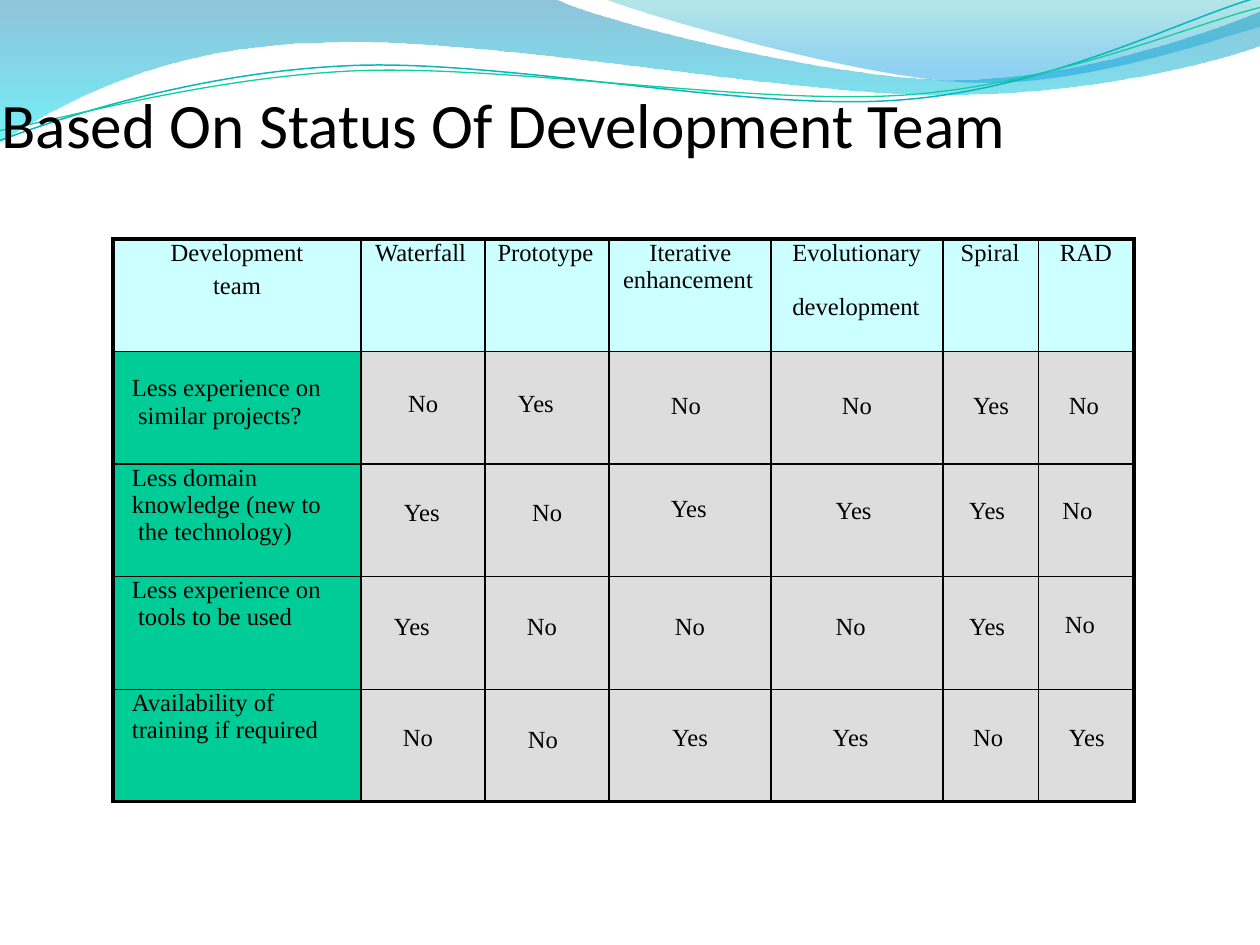
from dataclasses import dataclass
from math import cos, radians, sin

from pptx import Presentation
from pptx.dml.color import RGBColor
from pptx.enum.text import MSO_ANCHOR, MSO_AUTO_SIZE, PP_ALIGN
from pptx.oxml import parse_xml
from pptx.oxml.ns import nsdecls, qn
from pptx.util import Cm, Pt


@dataclass(frozen=True)
class Theme:
    """Colours, fonts, type sizes and line widths of the slide."""
    ink: str = "000000"
    header_fill: str = "CCFFFF"
    label_fill: str = "00CC98"
    answer_fill: str = "DDDDDD"
    title_font: str = "Calibri"
    table_font: str = "Times New Roman"
    title_size: int = 36
    table_size: int = 14
    line_height: float = 1.11
    outer_border: float = 2.25
    inner_border: float = 1


THEME = Theme()
CENTRED = None

TITLE = "Based On Status Of Development Team"

# Each cell: text, left indent in cm (or CENTRED), size in points of the line left free above.
# A line feed starts a paragraph, a vertical tab breaks a line.
TABLE = [
    [("Development\nteam", CENTRED, 0), ("Waterfall", 0.28, 0), ("Prototype", 0.25, 0),
     ("Iterative \venhancement", 0.28, 0), ("Evolutionary\ndevelopment", 0.43, 0),
     ("Spiral", 0.36, 0), ("RAD", 0.43, 0)],
    [("Less experience on\v similar projects?", 0.38, 12), ("No", CENTRED, 20), ("Yes", 0.66, 20),
     ("No", 1.24, 21), ("No", CENTRED, 21), ("Yes", 0.61, 21), ("No", 0.61, 21)],
    [("Less domain \vknowledge (new to\v the technology)", 0.38, 0), ("Yes", 0.86, 18),
     ("No", CENTRED, 18), ("Yes", 1.24, 16), ("Yes", 1.3, 17), ("Yes", 0.53, 17), ("No", 0.48, 17)],
    [("Less experience on\v tools to be used", 0.38, 0), ("Yes", 0.66, 19), ("No", 0.84, 19),
     ("No", CENTRED, 19), ("No", 1.3, 19), ("Yes", 0.53, 19), ("No", 0.53, 18)],
    [("Availability of \vtraining if required", 0.38, 0), ("No", 0.84, 18), ("No", 0.86, 19),
     ("Yes", CENTRED, 18), ("Yes", 1.24, 18), ("No", 0.61, 18), ("Yes", 0.61, 18)],
]
PARAGRAPH_GAPS = {"team": 3.8, "development": 15.5}
FIRST_LINE_INDENTS = {"Iterative \venhancement": 0.53}
COLUMN_WIDTHS = [4.98, 2.49, 2.49, 3.25, 3.45, 1.92, 1.92]
ROW_HEIGHT = 2.26
TABLE_LEFT, TABLE_TOP = 2.27, 4.8

# Outlines in cm: a start point, then lines (x, y) or curves (two controls and an end).
# Gradient stops: position in percent, colour, opacity in percent.
BANDS = [
    ([(0, 0), (11.13, -0.03), (12.04, 0.43, 16.79, 1.6, 19.18, 1.6),
      (21.59, 1.6, 24.23, 0.66, 25.3, 0.23), (25.32, 0.91),
      (24.87, 1.12, 22, 1.93, 18.87, 1.91), (15.72, 1.91, 9.65, 0.71, 6.5, 0.86),
      (3.28, 0.89, 1.17, 2.11, -0.03, 2.87), (0, 0)],
     [(0, "0079AD", 44), (100, "00E9F7", 55)]),
    ([(12.12, -0.03), (12.88, 0.28, 17.25, 1.57, 19.46, 1.65),
      (21.64, 1.75, 24.31, 0.81, 25.3, 0.53), (25.3, 0), (12.12, -0.03)],
     [(0, "00ABB4", 29), (80, "0099E4", 44), (100, "0099E4", 44)]),
]
# Outline as it stands on the slide, centre of the turned shape, colour, line width.
STRANDS = [
    ([(0, 2.82), (1.22, 2.36, 3.99, 1.45, 6.99, 1.32),
      (10.01, 1.17, 14.99, 2.24, 18.03, 2.01), (21.06, 1.8, 23.72, 0.38, 25.25, -0.05)],
     (12.62, 1.46), "09B6BE", 0.85),
    ([(0, 2.62), (1.19, 2.41, 4.14, 1.55, 7.16, 1.42),
      (10.19, 1.3, 15.11, 2.11, 18.14, 1.91), (21.16, 1.7, 23.8, 0.53, 25.3, 0.15)],
     (12.64, 1.5), "10CF9B", 0.75),
]
STRAND_TURN = -2.7


def turn_points(outline, centre, degrees):
    """Turn every point of an outline clockwise around a centre."""
    cosine, sine = cos(radians(degrees)), sin(radians(degrees))
    turned = []
    for segment in outline:
        values = []
        for x, y in zip(segment[::2], segment[1::2]):
            across, down = x - centre[0], y - centre[1]
            values += [centre[0] + across * cosine - down * sine,
                       centre[1] + across * sine + down * cosine]
        turned.append(tuple(values))
    return turned


def add_wave(slide, outline, close):
    """Draw a curved outline on the layout, behind the slide's content."""
    points = [(Cm(x), Cm(y)) for segment in outline
              for x, y in zip(segment[::2], segment[1::2])]
    builder = slide.shapes.build_freeform(*points[0])
    builder.add_line_segments(points[1:], close=close)
    shape = builder.convert_to_shape()
    shape.shadow.inherit = False
    lines = iter(shape.element.findall(".//" + qn("a:lnTo")))
    for segment in outline[1:]:
        line = next(lines)
        if len(segment) == 6:
            curve = parse_xml(f'<a:cubicBezTo {nsdecls("a")}/>')
            line.addprevious(curve)
            for control in (line, next(lines), next(lines)):
                curve.append(control[0])
                control.getparent().remove(control)
    slide.slide_layout.shapes.element.append(shape.element)
    return shape


def fill_gradient(shape, stops):
    """Give a shape a downward gradient with transparent stops."""
    stop_xml = "".join(
        f'<a:gs pos="{position * 1000}"><a:srgbClr val="{color}">'
        f'<a:alpha val="{opacity * 1000}"/></a:srgbClr></a:gs>'
        for position, color, opacity in stops)
    gradient = parse_xml(
        f'<a:gradFill {nsdecls("a")} rotWithShape="1"><a:gsLst>{stop_xml}</a:gsLst>'
        '<a:lin ang="5400000" scaled="0"/></a:gradFill>')
    shape.element.spPr.find(qn("a:custGeom")).addnext(gradient)


def add_waves(slide):
    """Draw the gradient bands and the thin strands at the top."""
    for outline, stops in BANDS:
        band = add_wave(slide, outline, close=True)
        fill_gradient(band, stops)
        band.line.fill.background()
    for outline, centre, color, width in STRANDS:
        strand = add_wave(slide, turn_points(outline, centre, -STRAND_TURN), close=False)
        strand.rotation = STRAND_TURN
        strand.fill.background()
        strand.line.color.rgb = RGBColor.from_string(color)
        strand.line.width = Pt(width)


def format_runs(paragraph, font, size):
    """Set font, size and ink colour on every run of a paragraph."""
    for run in paragraph.runs:
        run.font.name = font
        run.font.size = Pt(size)
        run.font.color.rgb = RGBColor.from_string(THEME.ink)


def set_title(slide, width):
    """Place and format the title placeholder."""
    title = slide.shapes.title
    title.left, title.top, title.width, title.height = Cm(0), Cm(1.69), width, Cm(1.55)
    frame = title.text_frame
    frame.text = TITLE
    frame.auto_size = MSO_AUTO_SIZE.NONE
    frame.vertical_anchor = MSO_ANCHOR.BOTTOM
    frame.margin_left = Cm(0.03)
    frame.margin_right = frame.margin_top = frame.margin_bottom = 0
    frame.paragraphs[0].alignment = PP_ALIGN.LEFT
    format_runs(frame.paragraphs[0], THEME.title_font, THEME.title_size)


def set_borders(cell, outer_sides):
    """Draw the four borders of a cell, thicker on the table's outer sides."""
    properties = cell._tc.get_or_add_tcPr()
    for side in "LRTB":
        width = THEME.outer_border if side in outer_sides else THEME.inner_border
        properties.append(parse_xml(
            f'<a:ln{side} {nsdecls("a")} w="{Pt(width)}"><a:solidFill>'
            f'<a:srgbClr val="{THEME.ink}"/></a:solidFill></a:ln{side}>'))


def fill_cell(cell, content, color):
    """Write and format one table cell."""
    text, indent, lead = content
    cell.text_frame.text = text
    cell.margin_left = Cm(indent or 0)
    cell.margin_right = cell.margin_bottom = 0
    cell.margin_top = Pt(lead * THEME.line_height)
    for paragraph in cell.text_frame.paragraphs:
        paragraph.alignment = PP_ALIGN.CENTER if indent is CENTRED else PP_ALIGN.LEFT
        paragraph.space_before = Pt(PARAGRAPH_GAPS.get(paragraph.text, 0))
        first_line = Cm(FIRST_LINE_INDENTS.get(text, 0))
        paragraph._p.get_or_add_pPr().set("indent", str(int(first_line)))
        format_runs(paragraph, THEME.table_font, THEME.table_size)
    cell.fill.solid()
    cell.fill.fore_color.rgb = RGBColor.from_string(color)


def add_model_table(slide):
    """Add the table that compares the process models."""
    last_row, last_column = len(TABLE) - 1, len(COLUMN_WIDTHS) - 1
    table = slide.shapes.add_table(
        len(TABLE), len(COLUMN_WIDTHS), Cm(TABLE_LEFT), Cm(TABLE_TOP),
        Cm(sum(COLUMN_WIDTHS)), Cm(ROW_HEIGHT * len(TABLE))).table
    table.first_row = table.horz_banding = False
    for column, width in zip(table.columns, COLUMN_WIDTHS):
        column.width = Cm(width)
    for r, contents in enumerate(TABLE):
        table.rows[r].height = Cm(ROW_HEIGHT)
        for c, content in enumerate(contents):
            edges = {"L": c == 0, "R": c == last_column, "T": r == 0, "B": r == last_row}
            body_fill = THEME.label_fill if c == 0 else THEME.answer_fill
            cell = table.cell(r, c)
            set_borders(cell, [side for side, outer in edges.items() if outer])
            fill_cell(cell, content, THEME.header_fill if r == 0 else body_fill)


presentation = Presentation()
presentation.slide_width, presentation.slide_height = Cm(25.3), Cm(18.97)
slide = presentation.slides.add_slide(presentation.slide_layouts.get_by_name("Title Only"))
add_waves(slide)
set_title(slide, presentation.slide_width)
add_model_table(slide)
presentation.save("out.pptx")
